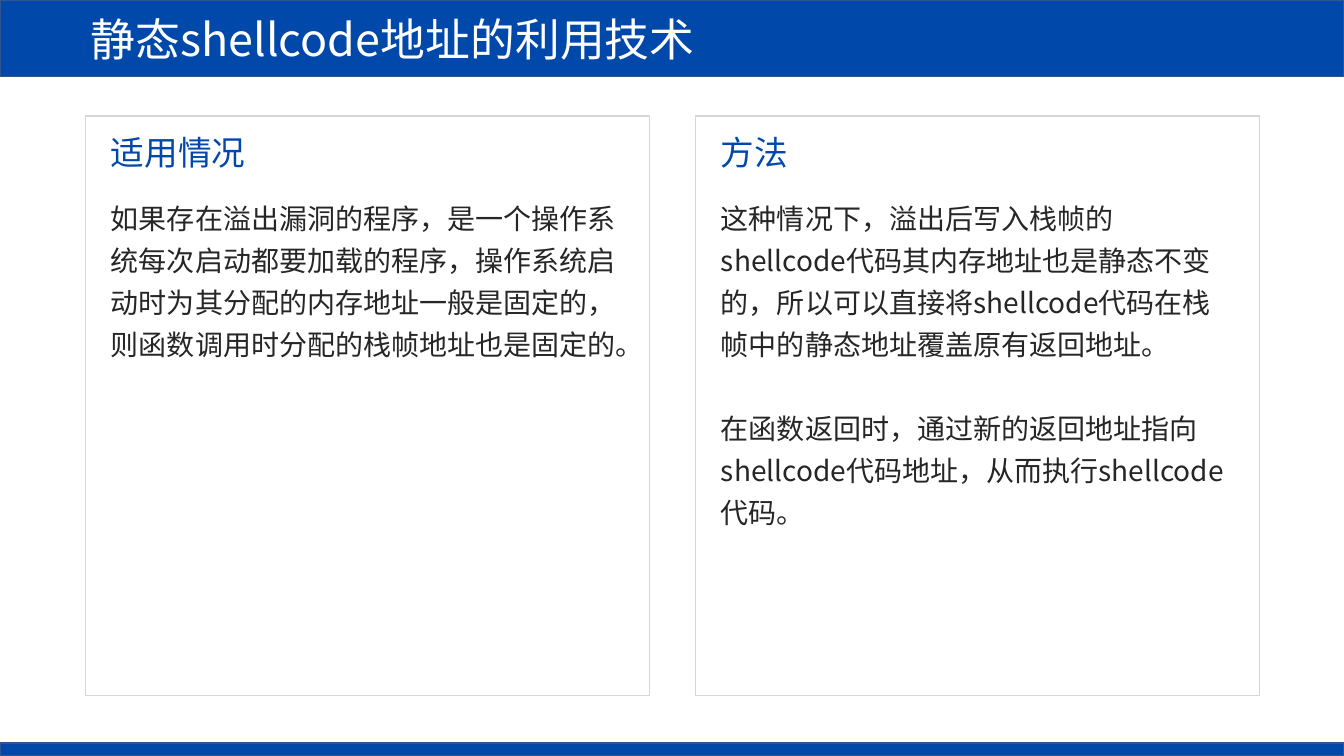
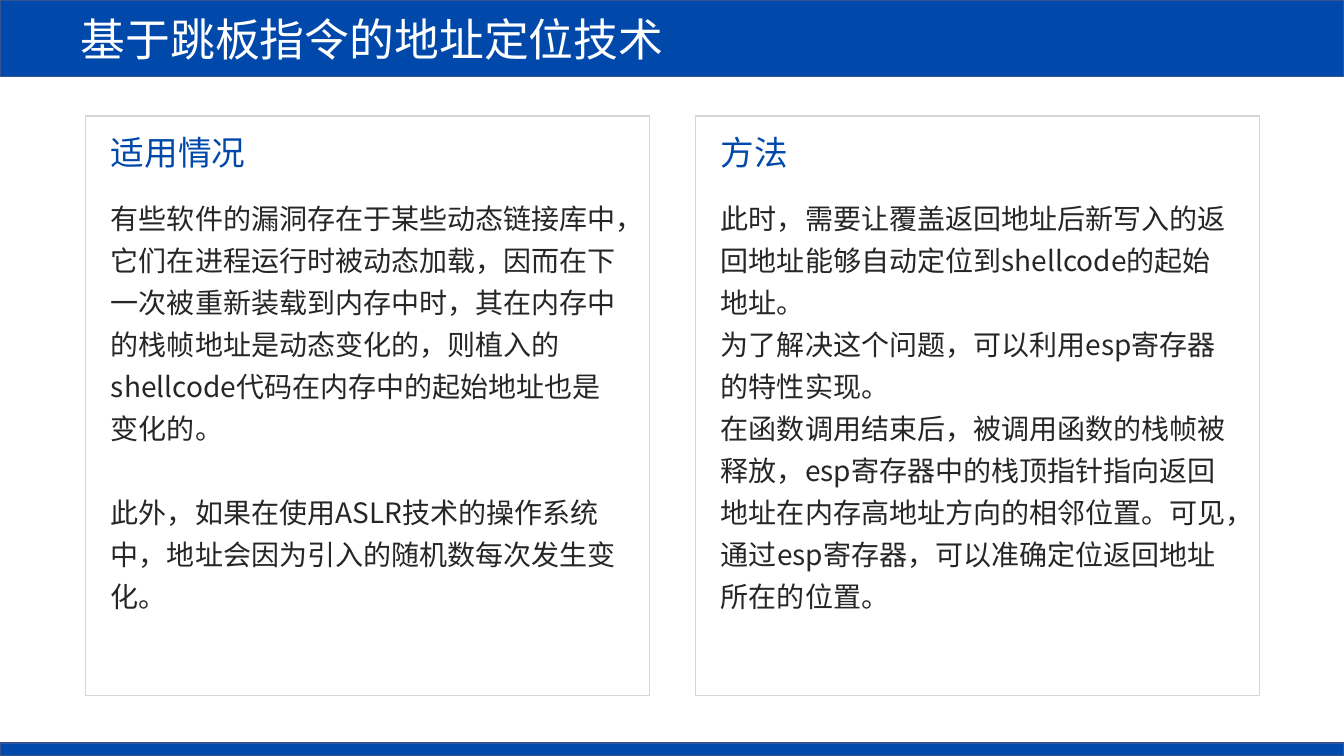
import pptx
import pptx.dml.color
import pptx.enum.shapes
import pptx.enum.text
import pptx.oxml.ns
import pptx.util
from lxml import etree

Inches = pptx.util.Inches
Pt = pptx.util.Pt
RGBColor = pptx.dml.color.RGBColor
Anchor = pptx.enum.text.MSO_ANCHOR

BLUE = RGBColor(0x00, 0x48, 0xAA)
BAND_EDGE = RGBColor(0x32, 0x54, 0x91)
FRAME_EDGE = RGBColor(0xD6, 0xD6, 0xD6)
INK = RGBColor(0x26, 0x26, 0x26)
WHITE = RGBColor(0xFF, 0xFF, 0xFF)

FONT = "Noto Sans CJK SC"
WIDTH, HEIGHT = 13.33, 7.5
TITLE_HEIGHT, FOOTER_HEIGHT = 0.76, 0.13
FRAME_LEFT, FRAME_TOP, FRAME_WIDTH, FRAME_HEIGHT = 0.85, 1.15, 5.59, 5.75
COLUMN_STEP = 6.05
TEXT_INDENT, TEXT_WIDTH = 0.15, 5.28
COMPARISON_LAYOUT = 4

TITLE_STYLE = {"size": Pt(32), "color": WHITE}
HEADING_STYLE = {"size": Pt(24), "color": BLUE}
BODY_STYLE = {"size": Pt(20), "color": INK, "line_spacing": 1.25}

SLIDES = [
    {
        "title": "静态shellcode地址的利用技术",
        "title_inset": 0.9,
        "columns": [
            ("适用情况", [
                "如果存在溢出漏洞的程序，是一个操作系统每次启动都要加载的程序，操作系统启动时为其分配的内存地址一般是固定的，则函数调用时分配的栈帧地址也是固定的。",
            ], 0),
            ("方法", [
                "这种情况下，溢出后写入栈帧的shellcode代码其内存地址也是静态不变的，所以可以直接将shellcode代码在栈帧中的静态地址覆盖原有返回地址。",
                "在函数返回时，通过新的返回地址指向shellcode代码地址，从而执行shellcode代码。",
            ], 30),
        ],
    },
    {
        "title": "基于跳板指令的地址定位技术",
        "title_inset": 0.8,
        "columns": [
            ("适用情况", [
                "有些软件的漏洞存在于某些动态链接库中，它们在进程运行时被动态加载，因而在下一次被重新装载到内存中时，其在内存中的栈帧地址是动态变化的，则植入的shellcode代码在内存中的起始地址也是变化的。",
                "此外，如果在使用ASLR技术的操作系统中，地址会因为引入的随机数每次发生变化。",
            ], 30),
            ("方法", [
                "此时，需要让覆盖返回地址后新写入的返回地址能够自动定位到shellcode的起始地址。",
                "为了解决这个问题，可以利用esp寄存器的特性实现。",
                "在函数调用结束后，被调用函数的栈帧被释放，esp寄存器中的栈顶指针指向返回地址在内存高地址方向的相邻位置。可见，通过esp寄存器，可以准确定位返回地址所在的位置。",
            ], 0),
        ],
    },
]


class SlideBuilder:
    def __init__(self, deck):
        self.deck = deck
        self.slide = None

    def start_slide(self):
        layout = self.deck.slide_layouts[COMPARISON_LAYOUT]
        self.slide = self.deck.slides.add_slide(layout)

    def place(self, shape, left, top, width, height):
        bounds = {"left": left, "top": top, "width": width, "height": height}
        for name, value in bounds.items():
            setattr(shape, name, Inches(value))

    def paint(self, shape, fill, edge):
        if fill is None:
            shape.fill.background()
        else:
            shape.fill.solid()
            shape.fill.fore_color.rgb = fill
        shape.line.color.rgb = edge
        shape.line.width = Pt(1)

    def rectangle(self, left, top, width, height, fill, edge):
        bounds = [Inches(value) for value in (left, top, width, height)]
        box = self.slide.shapes.add_shape(
            pptx.enum.shapes.MSO_SHAPE.RECTANGLE, *bounds)
        box.shadow.inherit = False
        self.paint(box, fill, edge)

    def fill_text(self, shape, texts, style, gap=0, anchor=Anchor.TOP,
                  inset=0.1):
        """Fill a placeholder with unbulleted paragraphs, gap points apart."""
        frame = shape.text_frame
        frame_format = {
            "word_wrap": True,
            "auto_size": pptx.enum.text.MSO_AUTO_SIZE.NONE,
            "vertical_anchor": anchor,
            "margin_left": Inches(inset),
        }
        for name, value in frame_format.items():
            setattr(frame, name, value)
        for index, text in enumerate(texts):
            para = frame.add_paragraph() if index else frame.paragraphs[0]
            properties = para._p.get_or_add_pPr()
            properties.set("marL", "0")
            properties.set("indent", "0")
            etree.SubElement(properties, pptx.oxml.ns.qn("a:buNone"))
            para_format = {
                "alignment": pptx.enum.text.PP_ALIGN.LEFT,
                "line_spacing": style.get("line_spacing", 1.0),
                "space_before": Pt(gap if index else 0),
            }
            for name, value in para_format.items():
                setattr(para, name, value)
            self.add_span(para, text, style)

    def add_span(self, para, text, style):
        span = para.add_run()
        span.text = text
        font_format = {"name": FONT, "size": style["size"], "bold": False}
        for name, value in font_format.items():
            setattr(span.font, name, value)
        span.font.color.rgb = style["color"]
        east_asian = etree.SubElement(
            span._r.get_or_add_rPr(), pptx.oxml.ns.qn("a:ea"))
        east_asian.set("typeface", FONT)

    def title(self, text, inset):
        band = self.slide.shapes.title
        self.place(band, 0, 0, WIDTH, TITLE_HEIGHT)
        self.paint(band, BLUE, BAND_EDGE)
        self.fill_text(band, [text], TITLE_STYLE,
                       anchor=Anchor.MIDDLE, inset=inset)

    def footer(self):
        self.rectangle(0, HEIGHT - FOOTER_HEIGHT, WIDTH, FOOTER_HEIGHT,
                       BLUE, BAND_EDGE)

    def column(self, index, heading, texts, gap):
        left = FRAME_LEFT + index * COLUMN_STEP
        self.rectangle(left, FRAME_TOP, FRAME_WIDTH, FRAME_HEIGHT,
                       None, FRAME_EDGE)
        # The layout numbers its placeholders in heading and body pairs.
        holders = {holder.placeholder_format.idx: holder
                   for holder in self.slide.placeholders}
        heading_box = holders[2 * index + 1]
        body_box = holders[2 * index + 2]
        self.place(heading_box, left + TEXT_INDENT, 1.26, TEXT_WIDTH, 0.5)
        self.fill_text(heading_box, [heading], HEADING_STYLE)
        self.place(body_box, left + TEXT_INDENT, 1.87, TEXT_WIDTH, 4.27)
        self.fill_text(body_box, texts, BODY_STYLE, gap)


def main():
    deck = pptx.Presentation()
    deck.slide_width = Inches(WIDTH)
    deck.slide_height = Inches(HEIGHT)
    builder = SlideBuilder(deck)
    for content in SLIDES:
        builder.start_slide()
        builder.title(content["title"], content["title_inset"])
        builder.footer()
        for index, (heading, texts, gap) in enumerate(content["columns"]):
            builder.column(index, heading, texts, gap)
    deck.save("out.pptx")


if __name__ == "__main__":
    main()
